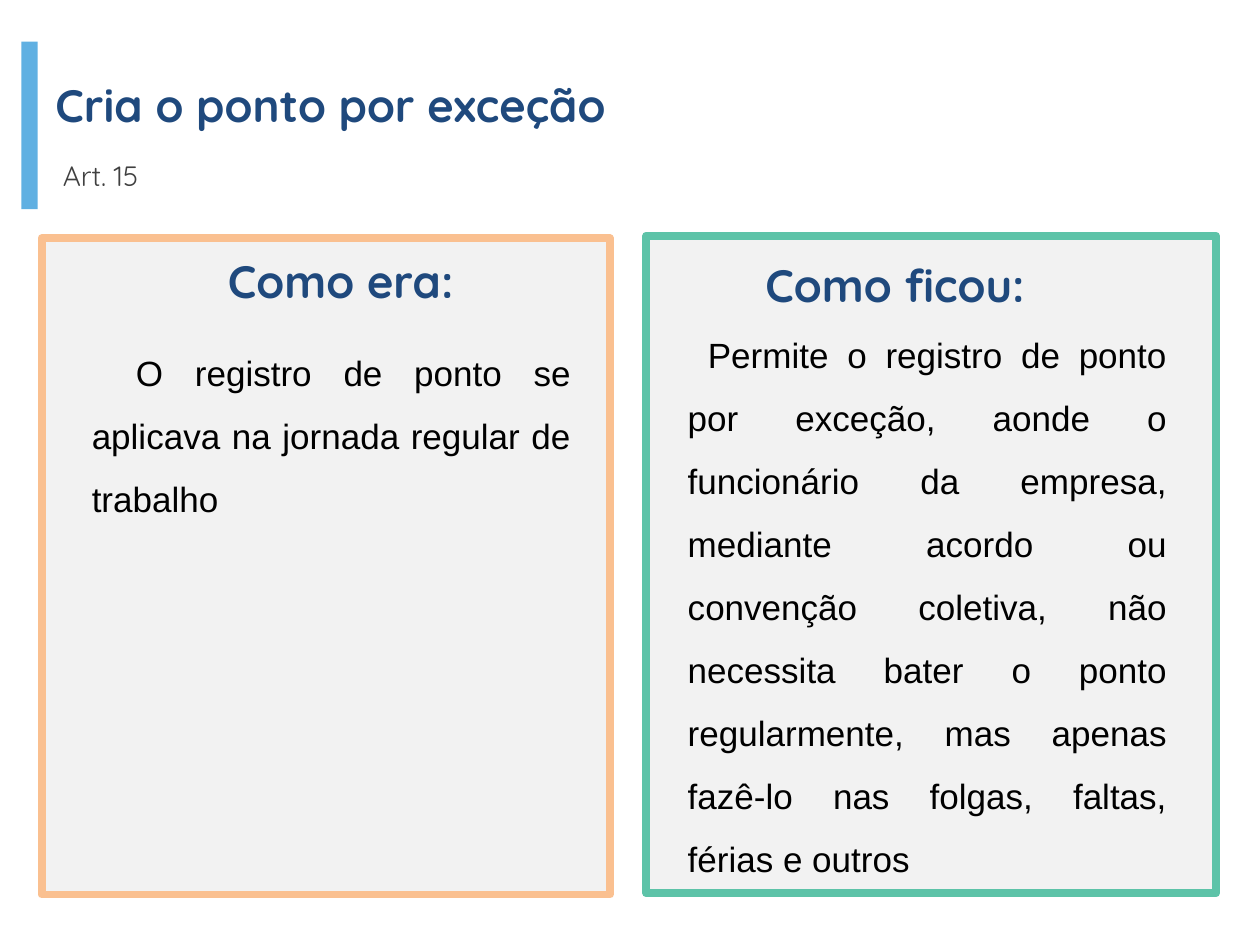
import pptx
from pptx.dml.color import RGBColor
from pptx.enum.shapes import MSO_SHAPE
from pptx.enum.text import MSO_ANCHOR, MSO_AUTO_SIZE, PP_ALIGN
from pptx.util import Inches, Pt

NAVY = RGBColor(0x1F, 0x49, 0x7D)
GREY = RGBColor(0x40, 0x40, 0x40)
BLACK = RGBColor(0, 0, 0)
SKY = RGBColor(0x60, 0xB0, 0xE2)
PANEL = RGBColor(0xF2, 0xF2, 0xF2)
ORANGE = RGBColor(0xFA, 0xC0, 0x90)
GREEN = RGBColor(0x5D, 0xC3, 0xA8)


def add_rectangle(box, fill, border=None):
    rectangle = slide.shapes.add_shape(MSO_SHAPE.RECTANGLE, *map(Inches, box))
    rectangle.shadow.inherit = False
    rectangle.fill.solid()
    rectangle.fill.fore_color.rgb = fill
    if border is None:
        rectangle.line.fill.background()
    else:
        rectangle.line.color.rgb = border
        rectangle.line.width = Pt(4.5)


def write(holder, text, size, font, color, bold=False, align=PP_ALIGN.LEFT,
          anchor=MSO_ANCHOR.MIDDLE):
    """Fill a text holder with one formatted paragraph and return it."""
    frame = holder.text_frame
    frame.word_wrap = True
    frame.auto_size = MSO_AUTO_SIZE.NONE
    frame.vertical_anchor = anchor
    paragraph = frame.paragraphs[0]
    paragraph.text = text
    paragraph.alignment = align
    paragraph.font.size = Pt(size)
    paragraph.font.name = font
    paragraph.font.color.rgb = color
    paragraph.font.bold = bold
    return paragraph


presentation = pptx.Presentation()
presentation.slide_width = Inches(10)
presentation.slide_height = Inches(7.5)
slide = presentation.slides.add_slide(presentation.slide_layouts[5])

title = slide.shapes.title
title.left, title.top = Inches(0.34), Inches(0.56)
title.width, title.height = Inches(9.45), Inches(0.54)
write(title, "Cria o ponto por exceção", 26, "Quicksand", NAVY, bold=True)

article = slide.shapes.add_textbox(Inches(0.4), Inches(1.21), Inches(7.19), Inches(0.37))
write(article, "Art. 15", 16, "Quicksand", GREY, anchor=MSO_ANCHOR.TOP)

add_rectangle((0.17, 0.33, 0.13, 1.33), SKY)

# panel box, border, heading, heading box, body, body box, first-line indent
columns = [
    ((0.33, 1.89, 4.51, 5.21), ORANGE,
     "Como era:", (0.81, 1.78, 3.79, 0.68),
     "O registro de ponto se aplicava na jornada regular de trabalho",
     (0.48, 2.56, 4.15, 1.62), 0.35),
    ((5.13, 1.87, 4.52, 5.22), GREEN,
     "Como ficou:", (5.21, 1.81, 3.79, 0.68),
     "Permite o registro de ponto por exceção, aonde o funcionário da empresa, "
     "mediante acordo ou convenção coletiva, não necessita bater o ponto "
     "regularmente, mas apenas fazê-lo nas folgas, faltas, férias e outros",
     (5.21, 2.44, 4.15, 4.58), 0.16),
]

for panel_box, border, heading, heading_box, body, body_box, indent in columns:
    add_rectangle(panel_box, PANEL, border)

    heading_holder = slide.shapes.add_textbox(*map(Inches, heading_box))
    heading_line = write(heading_holder, heading, 26, "Quicksand", NAVY, bold=True,
                         align=PP_ALIGN.CENTER)

    body_holder = slide.shapes.add_textbox(*map(Inches, body_box))
    body_text = write(body_holder, body, 20, "Arial", BLACK, align=PP_ALIGN.JUSTIFY)
    properties = body_text._p.get_or_add_pPr()
    properties.set("marL", str(Inches(0.15)))
    properties.set("indent", str(Inches(indent)))

    for paragraph in (heading_line, body_text):
        paragraph.line_spacing = 1.5
        paragraph.space_after = Pt(6)

presentation.save("out.pptx")
